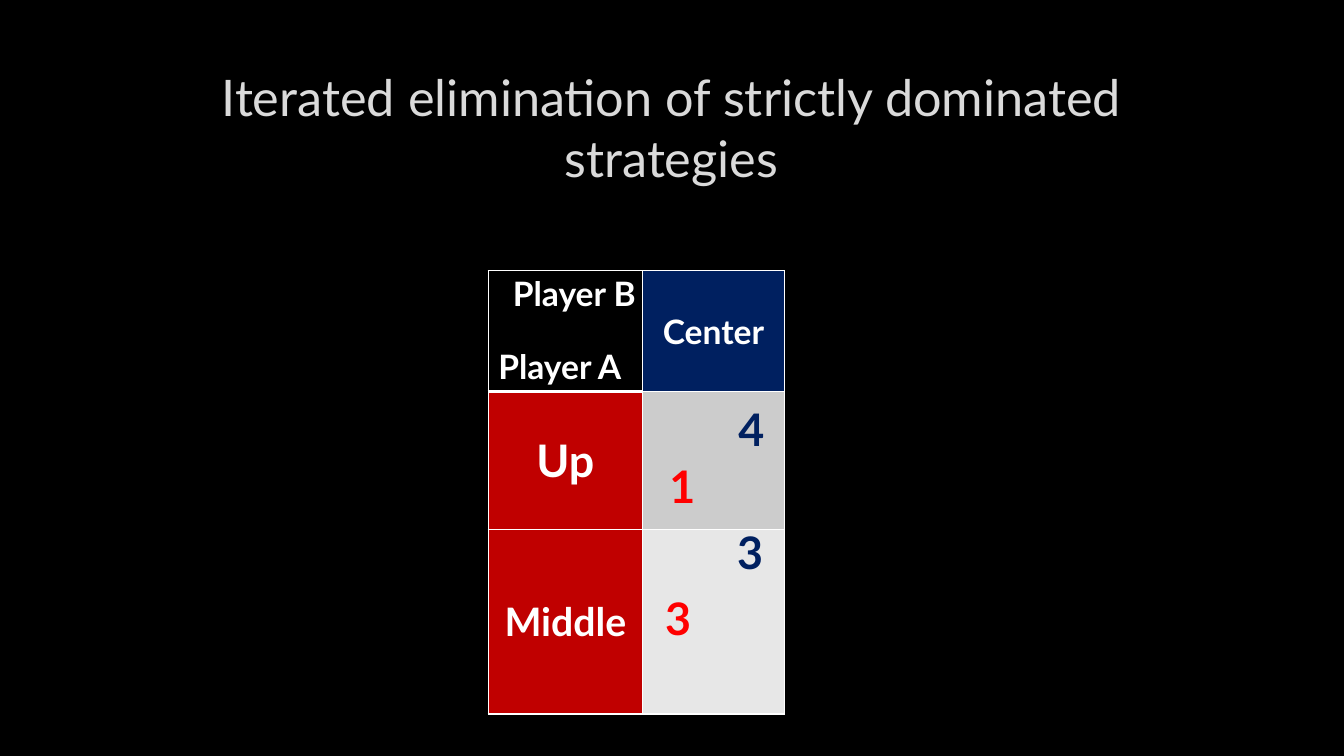
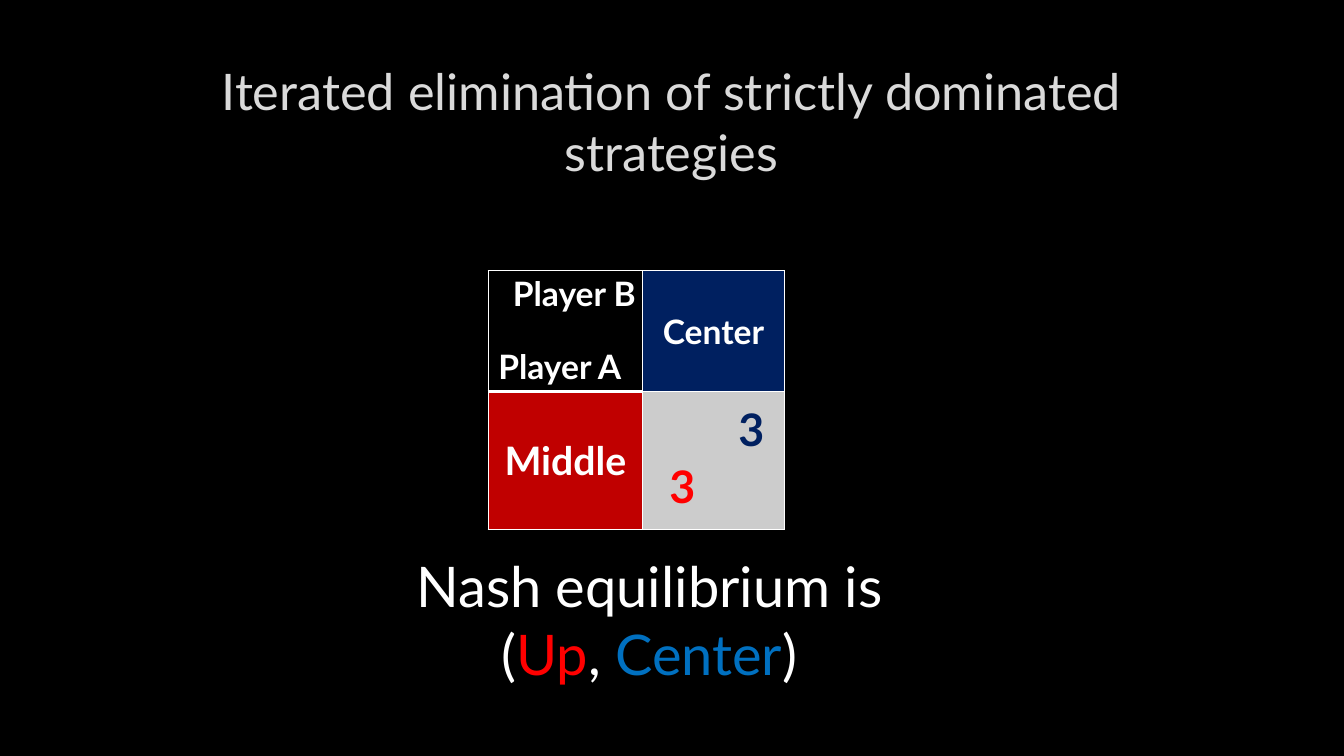
from dataclasses import dataclass

from lxml.etree import SubElement
from pptx import Presentation
from pptx.dml.color import RGBColor as Color
from pptx.enum.text import MSO_ANCHOR as Anchor, PP_ALIGN as Align
from pptx.oxml.ns import qn
from pptx.util import Pt

PIXEL = 9525


@dataclass(frozen=True)
class Theme:
    """Colours, font and type sizes shared by the slides."""
    font: str = "Lato"
    background: str = "000000"
    title: str = "DADADA"
    white: str = "FFFFFF"
    navy: str = "002060"
    crimson: str = "C00000"
    red: str = "FF0000"
    blue: str = "0070C0"
    payoff_fills: tuple = ("CCCCCC", "E7E7E7")
    title_size: int = 36
    label_size: int = 24
    middle_size: int = 28
    payoff_size: int = 32
    result_size: int = 40


THEME = Theme()
TITLE = "Iterated elimination of strictly dominated strategies"
GAME_LEFT, GAME_TOP = 465, 258
COLUMNS = (147, 135)
HEADER_HEIGHT = 115
UP_LABEL = ("Up", THEME.payoff_size)
MIDDLE_LABEL = ("Middle", THEME.middle_size)
FIRST_ROW_OFFSETS = ((78, 5), (3, 59))
SECOND_ROW_OFFSETS = ((77, -9), (-1, 54))


def px(*lengths):
    """Turn pixel lengths into EMU."""
    return [length * PIXEL for length in lengths]


def write(frame, runs, size, bold=False, align=Align.CENTER):
    """Write one paragraph of (text, colour) runs."""
    paragraph = frame.paragraphs[0]
    paragraph.alignment = align
    for text, color in runs:
        run = paragraph.add_run()
        run.text = text
        for name, value in {"name": THEME.font, "size": Pt(size), "bold": bold}.items():
            setattr(run.font, name, value)
        run.font.color.rgb = Color.from_string(color)


def add_text(slide, box, runs, size, anchor=Anchor.TOP, **style):
    """Add a wrapped text box."""
    frame = slide.shapes.add_textbox(*px(*box)).text_frame
    for name, value in {"word_wrap": True, "vertical_anchor": anchor}.items():
        setattr(frame, name, value)
    write(frame, runs, size, **style)


def style_cell(cell, fill, anchor=Anchor.MIDDLE, **widths):
    """Fill a cell and give it white borders."""
    cell.fill.solid()
    cell.fill.fore_color.rgb = Color.from_string(fill)
    cell.vertical_anchor = anchor
    properties = cell._tc.get_or_add_tcPr()
    for index, side in enumerate("LRTB"):
        line = SubElement(properties, qn(f"a:ln{side}"), w=str(Pt(widths.get(side, 1))))
        solid = SubElement(line, qn("a:solidFill"))
        SubElement(solid, qn("a:srgbClr"), val=THEME.white)
        properties.insert(index, line)


def add_payoffs(slide, left, top, payoffs, offsets):
    """Place both players' payoffs relative to a cell corner."""
    styles = ((51, THEME.navy), (70, THEME.red))
    for value, (across, down), (width, color) in zip(payoffs, offsets, styles):
        box = (left + across, top + down, width, 61)
        add_text(slide, box, [(value, color)], THEME.payoff_size, bold=True)


def add_game(slide, left, top, strategies):
    """Draw the payoff matrix for player A's remaining strategies."""
    heights = [HEADER_HEIGHT] + [strategy[1] for strategy in strategies]
    box = px(left, top, sum(COLUMNS), sum(heights))
    table = slide.shapes.add_table(len(heights), len(COLUMNS), *box).table
    for column, width in zip(table.columns, px(*COLUMNS)):
        column.width = width
    for row, height in zip(table.rows, px(*heights)):
        row.height = height

    corner, header = table.cell(0, 0), table.cell(0, 1)
    style_cell(corner, THEME.background, Anchor.BOTTOM, B=3)
    write(corner.text_frame, [("Player A", THEME.white)], THEME.label_size, True, Align.LEFT)
    style_cell(header, THEME.navy, B=0.25)
    write(header.text_frame, [("Center", THEME.white)], THEME.label_size, True)
    add_text(slide, (left + 14, top - 3, 164, 48), [("Player B", THEME.white)],
             THEME.label_size, bold=True, align=Align.LEFT)

    for index, ((name, size), height, payoffs, offsets) in enumerate(strategies, 1):
        label, payoff = table.cell(index, 0), table.cell(index, 1)
        first = index == 1
        style_cell(label, THEME.crimson, T=3 if first else 1)
        write(label.text_frame, [(name, THEME.white)], size, True)
        style_cell(payoff, THEME.payoff_fills[index - 1], T=0.25 if first else 1)
        row_top = top + sum(heights[:index])
        add_payoffs(slide, left + COLUMNS[0], row_top, payoffs, offsets)


def add_game_slide(presentation, title_top, strategies):
    """Add a slide with the shared title and a payoff matrix."""
    slide = presentation.slides.add_slide(presentation.slide_layouts[6])
    add_text(slide, (96, title_top, 1087, 102), [(TITLE, THEME.title)],
             THEME.title_size, Anchor.MIDDLE)
    add_game(slide, GAME_LEFT, GAME_TOP, strategies)
    return slide


def add_equilibrium(slide, box):
    """State the equilibrium with coloured strategy names."""
    runs = [("Nash equilibrium is (", THEME.white), ("Up", THEME.red),
            (", ", THEME.white), ("Center", THEME.blue), (")", THEME.white)]
    add_text(slide, box, runs, THEME.result_size)


def main():
    """Build and save the presentation."""
    presentation = Presentation()
    presentation.slide_width, presentation.slide_height = px(1280, 720)
    background = presentation.slide_master.background.fill
    background.solid()
    background.fore_color.rgb = Color.from_string(THEME.background)
    add_game_slide(presentation, 70, [
        (UP_LABEL, 131, ("4", "1"), FIRST_ROW_OFFSETS),
        (MIDDLE_LABEL, 176, ("3", "3"), SECOND_ROW_OFFSETS),
    ])
    slide = add_game_slide(presentation, 64, [
        (MIDDLE_LABEL, 131, ("3", "3"), FIRST_ROW_OFFSETS),
    ])
    add_equilibrium(slide, (339, 521, 559, 139))
    presentation.save("out.pptx")


if __name__ == "__main__":
    main()
